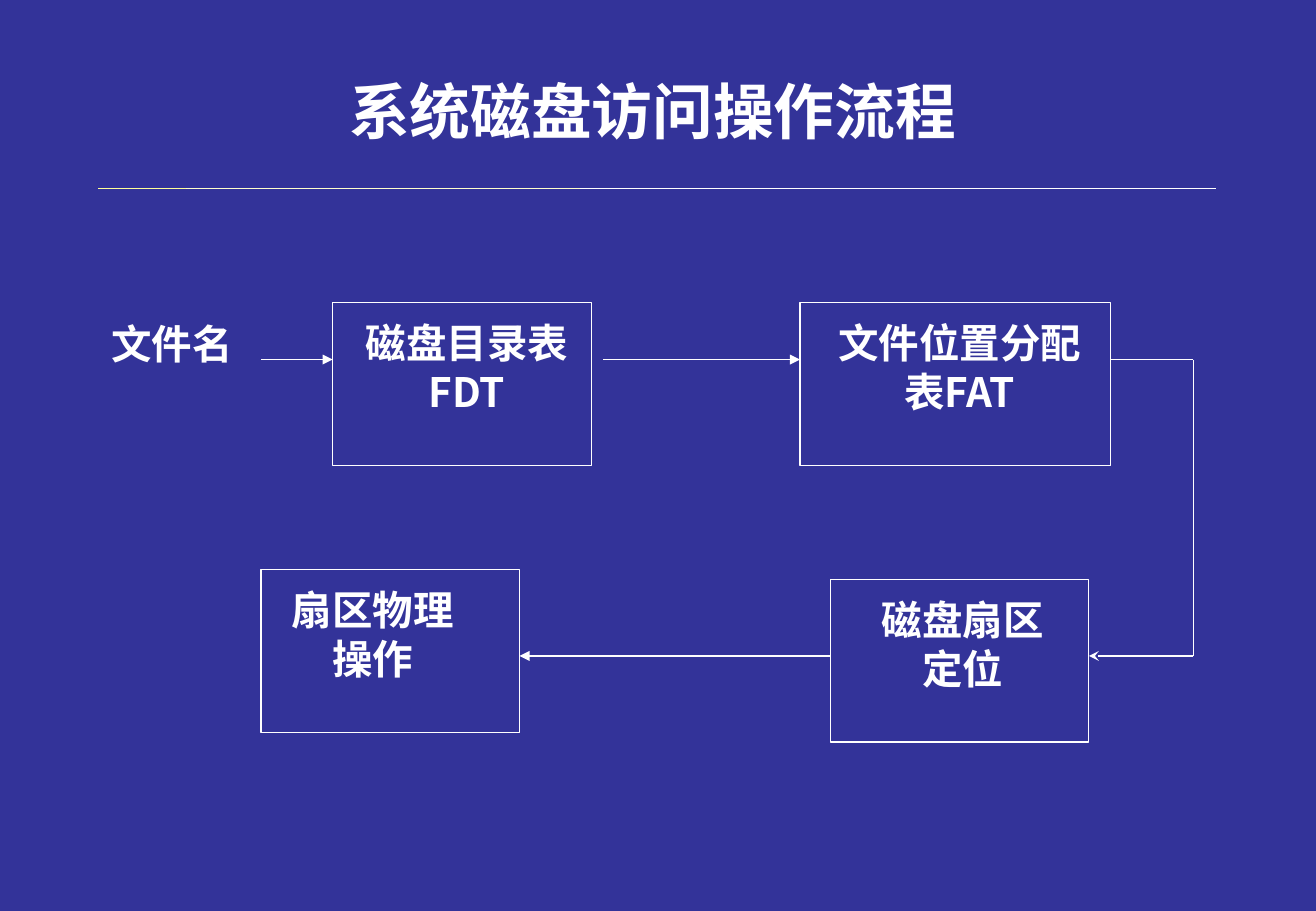
from dataclasses import dataclass
from itertools import pairwise

from pptx import Presentation
from pptx.dml.color import RGBColor
from pptx.enum.shapes import MSO_CONNECTOR, MSO_SHAPE
from pptx.enum.text import MSO_ANCHOR, PP_ALIGN
from pptx.oxml.ns import qn
from pptx.slide import Slide
from pptx.text.text import TextFrame
from pptx.util import Inches, Pt

STRAIGHT = MSO_CONNECTOR.STRAIGHT
RECTANGLE = MSO_SHAPE.RECTANGLE
MIDDLE, TOP = MSO_ANCHOR.MIDDLE, MSO_ANCHOR.TOP
CENTER = PP_ALIGN.CENTER


@dataclass(frozen=True)
class Theme:
    font: str = "Noto Sans CJK SC"
    background: str = "333399"
    ink: str = "FFFFFF"
    cream: str = "FFFFCC"
    yellow: str = "FFFF99"
    title_size: int = 36
    label_size: int = 24
    line_width: float = 0.75


@dataclass(frozen=True)
class Box:
    left: float
    top: float
    width: float
    height: float = 1.34


@dataclass(frozen=True)
class Label:
    lines: tuple[str, ...]
    left: float
    top: float
    width: float
    height: float = 0.9


@dataclass(frozen=True)
class Line:
    start: tuple[float, float]
    end: tuple[float, float]
    head: str = ""
    color: str = Theme.ink


THEME = Theme()
TOP_FLOW, BOTTOM_FLOW = 2.96, 5.4
TURN_X = 9.83
RULE_Y = 1.55
RULE_STOPS = (0.81, 1.53, 2.62, 3.7, 4.78, 5.87, 6.95, 7.49, 10.02)
RULE_COLORS = [THEME.yellow] + [THEME.cream] * 3 + [THEME.ink] * 4

BOXES = (
    Box(2.74, 2.49, 2.13),
    Box(6.59, 2.49, 2.56),
    Box(6.84, 4.77, 2.13),
    Box(2.15, 4.69, 2.13),
)
LABELS = (
    Label(("文件名",), 0.44, 2.58, 1.95, 0.5),
    Label(("磁盘目录表", "FDT"), 2.54, 2.57, 2.61),
    Label(("文件位置分配", "表FAT"), 6.67, 2.57, 2.47),
    Label(("磁盘扇区", "定位"), 6.79, 4.85, 2.28),
    Label(("扇区物理", "操作"), 1.93, 4.77, 2.28),
)
FLOW = (
    Line((2.15, TOP_FLOW), (2.74, TOP_FLOW), "triangle"),
    Line((4.97, TOP_FLOW), (6.59, TOP_FLOW), "triangle"),
    Line((9.15, TOP_FLOW), (TURN_X, TOP_FLOW)),
    Line((TURN_X, TOP_FLOW), (TURN_X, BOTTOM_FLOW)),
    Line((TURN_X, BOTTOM_FLOW), (8.97, BOTTOM_FLOW), "stealth"),
    Line((6.84, BOTTOM_FLOW), (4.28, BOTTOM_FLOW), "triangle"),
)


def write(tf: TextFrame, lines: tuple[str, ...], size: int, anchor: MSO_ANCHOR) -> None:
    tf.word_wrap = True
    tf.vertical_anchor = anchor
    tf.text = "\n".join(lines)
    for p in tf.paragraphs:
        p.alignment = CENTER
        p.font.name = THEME.font
        p.font.size = Pt(size)
        p.font.bold = True
        p.font.color.rgb = RGBColor.from_string(THEME.ink)
        # East Asian typeface
        rpr = p._p.pPr.find(qn("a:defRPr"))
        ea = rpr.makeelement(qn("a:ea"), {"typeface": THEME.font})
        rpr.find(qn("a:latin")).addnext(ea)


def draw_line(s: Slide, line: Line) -> None:
    ends = [Inches(v) for v in (*line.start, *line.end)]
    connector = s.shapes.add_connector(STRAIGHT, *ends)
    connector.line.color.rgb = RGBColor.from_string(line.color)
    connector.line.width = Pt(THEME.line_width)
    if line.head:
        ln = connector.line._get_or_add_ln()
        ln.append(ln.makeelement(qn("a:tailEnd"), {"type": line.head}))
    sp_pr = connector._element.spPr
    sp_pr.append(sp_pr.makeelement(qn("a:effectLst"), {}))


def draw_box(s: Slide, box: Box) -> None:
    sp = s.shapes.add_shape(
        RECTANGLE, Inches(box.left), Inches(box.top), Inches(box.width), Inches(box.height)
    )
    sp.shadow.inherit = False
    sp.fill.background()
    sp.line.color.rgb = RGBColor.from_string(THEME.ink)
    sp.line.width = Pt(THEME.line_width)


def draw_label(s: Slide, label: Label) -> None:
    sp = s.shapes.add_textbox(
        Inches(label.left), Inches(label.top), Inches(label.width), Inches(label.height)
    )
    write(sp.text_frame, label.lines, THEME.label_size, TOP)


def main() -> None:
    prs = Presentation()
    prs.slide_width, prs.slide_height = Inches(10.84), Inches(7.5)
    s = prs.slides.add_slide(prs.slide_layouts[5])
    s.background.fill.solid()
    s.background.fill.fore_color.rgb = RGBColor.from_string(THEME.background)

    # Title and the rule below it
    title = s.shapes.title
    title.left, title.top = Inches(0.77), Inches(0.28)
    title.width, title.height = Inches(9.21), Inches(1.25)
    write(title.text_frame, ("系统磁盘访问操作流程",), THEME.title_size, MIDDLE)
    for (x1, x2), color in zip(pairwise(RULE_STOPS), RULE_COLORS):
        draw_line(s, Line((x1, RULE_Y), (x2, RULE_Y), color=color))

    # Flow chart
    for box in BOXES:
        draw_box(s, box)
    for label in LABELS:
        draw_label(s, label)
    for line in FLOW:
        draw_line(s, line)

    prs.save("out.pptx")


if __name__ == "__main__":
    main()
